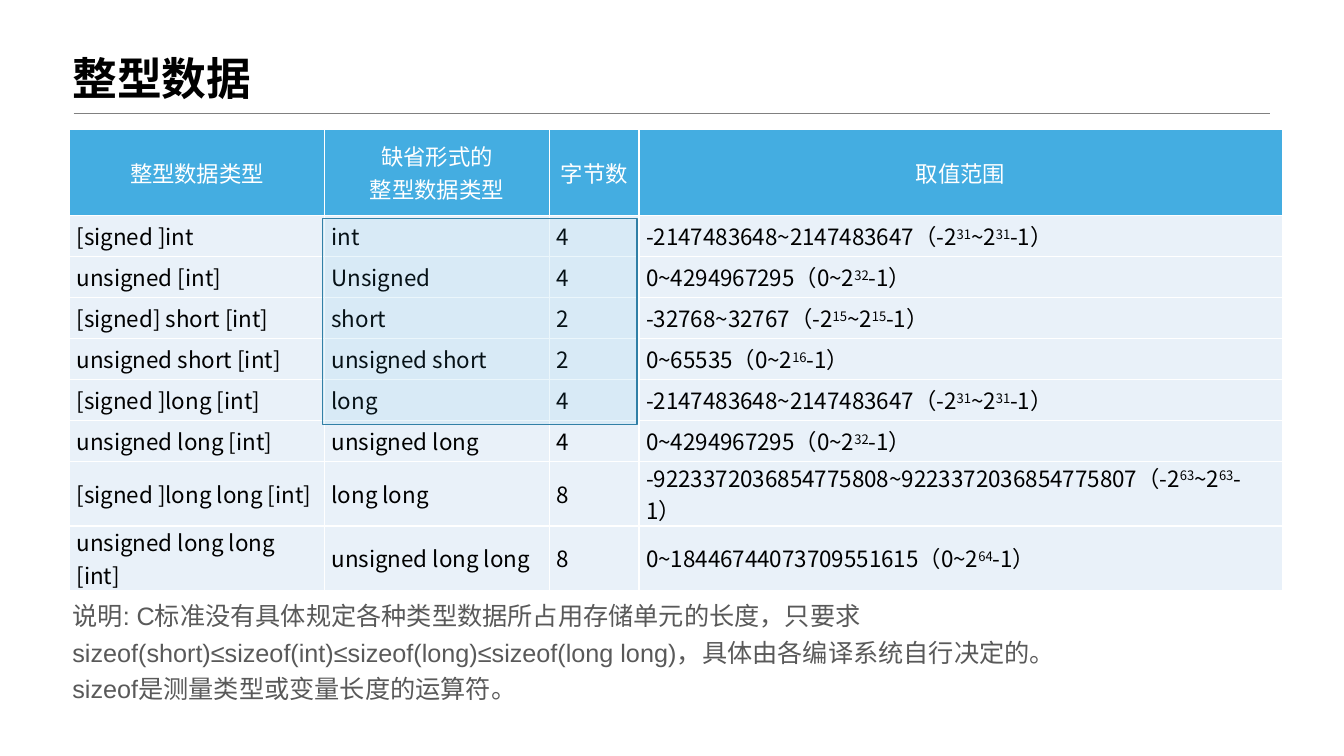
import lxml.etree
import pptx
import pptx.dml.color
import pptx.enum.shapes
import pptx.enum.text
import pptx.oxml.ns
import pptx.util

Pt = pptx.util.Pt
RGBColor = pptx.dml.color.RGBColor
ALIGN = pptx.enum.text.PP_ALIGN
ANCHOR = pptx.enum.text.MSO_ANCHOR
qn = pptx.oxml.ns.qn

BLACK = RGBColor(0x00, 0x00, 0x00)
WHITE = RGBColor(0xFF, 0xFF, 0xFF)
RULE_GRAY = RGBColor(0x80, 0x80, 0x80)
NOTE_GRAY = RGBColor(0x59, 0x59, 0x59)
HEADER_BLUE = RGBColor(0x44, 0xAD, 0xE1)
FRAME_BLUE = RGBColor(0x32, 0x80, 0xA6)
ROW_BLUE = RGBColor(0xE9, 0xF1, 0xF9)

SANS = "Noto Sans CJK SC"
COLUMN_WIDTHS = [182.16, 160.56, 64.08, 459.36]
# Header, six single-line rows, two rows with wrapped text
ROW_HEIGHTS = [61.92] + [29.3] * 6 + [46] * 2

HEADERS = ["整型数据类型", "缺省形式的\n整型数据类型", "字节数", "取值范围"]
# Digits between carets are superscripts
ROWS = [
    ["[signed ]int", "int", "4", "-2147483648~2147483647（-2^31^~2^31^-1）"],
    ["unsigned [int]", "Unsigned", "4", "0~4294967295（0~2^32^-1）"],
    ["[signed] short [int]", "short", "2", "-32768~32767（-2^15^~2^15^-1）"],
    ["unsigned short [int]", "unsigned short", "2", "0~65535（0~2^16^-1）"],
    ["[signed ]long [int]", "long", "4", "-2147483648~2147483647（-2^31^~2^31^-1）"],
    ["unsigned long [int]", "unsigned long", "4", "0~4294967295（0~2^32^-1）"],
    ["[signed ]long long [int]", "long long", "8",
     "-9223372036854775808~9223372036854775807（-2^63^~2^63^-1）"],
    ["unsigned long long [int]", "unsigned long long", "8",
     "0~18446744073709551615（0~2^64^-1）"],
]
NOTES = [
    "说明: C标准没有具体规定各种类型数据所占用存储单元的长度，只要求"
    "sizeof(short)≤sizeof(int)≤sizeof(long)≤sizeof(long long)，具体由各编译系统自行决定的。",
    "sizeof是测量类型或变量长度的运算符。",
]


def format_span(span, size, color, font=SANS, bold=False):
    span.font.size = Pt(size)
    span.font.bold = bold
    span.font.color.rgb = color
    span.font.name = font
    east_asian = lxml.etree.SubElement(span._r.get_or_add_rPr(), qn("a:ea"))
    east_asian.set("typeface", SANS)


def add_text(page, left, top, width, height, text, spacing, anchor, **style):
    box = page.shapes.add_textbox(Pt(left), Pt(top), Pt(width), Pt(height))
    frame = box.text_frame
    frame.word_wrap = True
    frame.vertical_anchor = anchor
    frame.text = text
    for para in frame.paragraphs:
        para.line_spacing = spacing
        for span in para.runs:
            format_span(span, **style)


def add_heading(page, left, top, width, height):
    add_text(page, left, top, width, height, "整型数据", 0.9, ANCHOR.BOTTOM,
             size=32, color=BLACK, bold=True)
    # Thin rule under the title
    rule_left, rule_top = left + 7.92, top + 60.48
    rule = page.shapes.add_connector(
        pptx.enum.shapes.MSO_CONNECTOR.STRAIGHT,
        Pt(rule_left), Pt(rule_top), Pt(rule_left + 854.64), Pt(rule_top))
    rule.line.color.rgb = RULE_GRAY
    rule.line.width = Pt(0.25)
    lxml.etree.SubElement(rule._element.spPr, qn("a:effectLst"))


def set_borders(cell):
    properties = cell._tc.get_or_add_tcPr()
    for index, side in enumerate("LRTB"):
        edge = lxml.etree.Element(qn(f"a:ln{side}"), w=str(Pt(1)))
        paint = lxml.etree.SubElement(edge, qn("a:solidFill"))
        lxml.etree.SubElement(paint, qn("a:srgbClr"), val=str(WHITE))
        properties.insert(index, edge)


def fill_cell(cell, text, is_header):
    cell.margin_left = cell.margin_right = Pt(5)
    cell.margin_top = cell.margin_bottom = Pt(0)
    cell.vertical_anchor = ANCHOR.MIDDLE
    cell.fill.solid()
    cell.fill.fore_color.rgb = HEADER_BLUE if is_header else ROW_BLUE
    set_borders(cell)
    pieces = text.split("^")
    cell.text_frame.text = pieces[0]
    for piece in pieces[1:]:
        cell.text_frame.paragraphs[0].add_run().text = piece
    for para in cell.text_frame.paragraphs:
        para.alignment = ALIGN.CENTER if is_header else ALIGN.LEFT
        for index, span in enumerate(para.runs):
            format_span(span, 16, WHITE if is_header else BLACK)
            if index % 2:
                span._r.get_or_add_rPr().set("baseline", "30000")


def add_type_table(page, left, top):
    rows = [HEADERS] + ROWS
    table = page.shapes.add_table(
        len(rows), len(HEADERS), Pt(left), Pt(top),
        Pt(sum(COLUMN_WIDTHS)), Pt(sum(ROW_HEIGHTS))).table
    for column, width in zip(table.columns, COLUMN_WIDTHS):
        column.width = Pt(width)
    for row, height, texts in zip(table.rows, ROW_HEIGHTS, rows):
        row.height = Pt(height)
        for cell, text in zip(row.cells, texts):
            fill_cell(cell, text, texts is HEADERS)


def add_highlight(page, left, top, width, height):
    box = page.shapes.add_shape(pptx.enum.shapes.MSO_SHAPE.RECTANGLE,
                                Pt(left), Pt(top), Pt(width), Pt(height))
    box.shadow.inherit = False
    box.fill.solid()
    box.fill.fore_color.rgb = HEADER_BLUE
    color = box._element.spPr.find(qn("a:solidFill"))[0]
    lxml.etree.SubElement(color, qn("a:alpha"), val="10000")
    box.line.color.rgb = FRAME_BLUE
    box.line.width = Pt(1)


def main():
    deck = pptx.Presentation()
    deck.slide_width, deck.slide_height = Pt(960), Pt(540)
    page = deck.slides.add_slide(deck.slide_layouts[6])
    add_heading(page, 44.64, 20.16, 828, 58.32)
    add_type_table(page, 49.68, 92.16)
    # Explanation below the table
    add_text(page, 44.64, 421.2, 866.16, 84.24, "\n".join(NOTES), 1.2, ANCHOR.TOP,
             size=18, color=NOTE_GRAY, font="Arial")
    # Frame around the common types
    add_highlight(page, 230.4, 156.24, 224.64, 146.88)
    deck.save("out.pptx")


if __name__ == "__main__":
    main()
